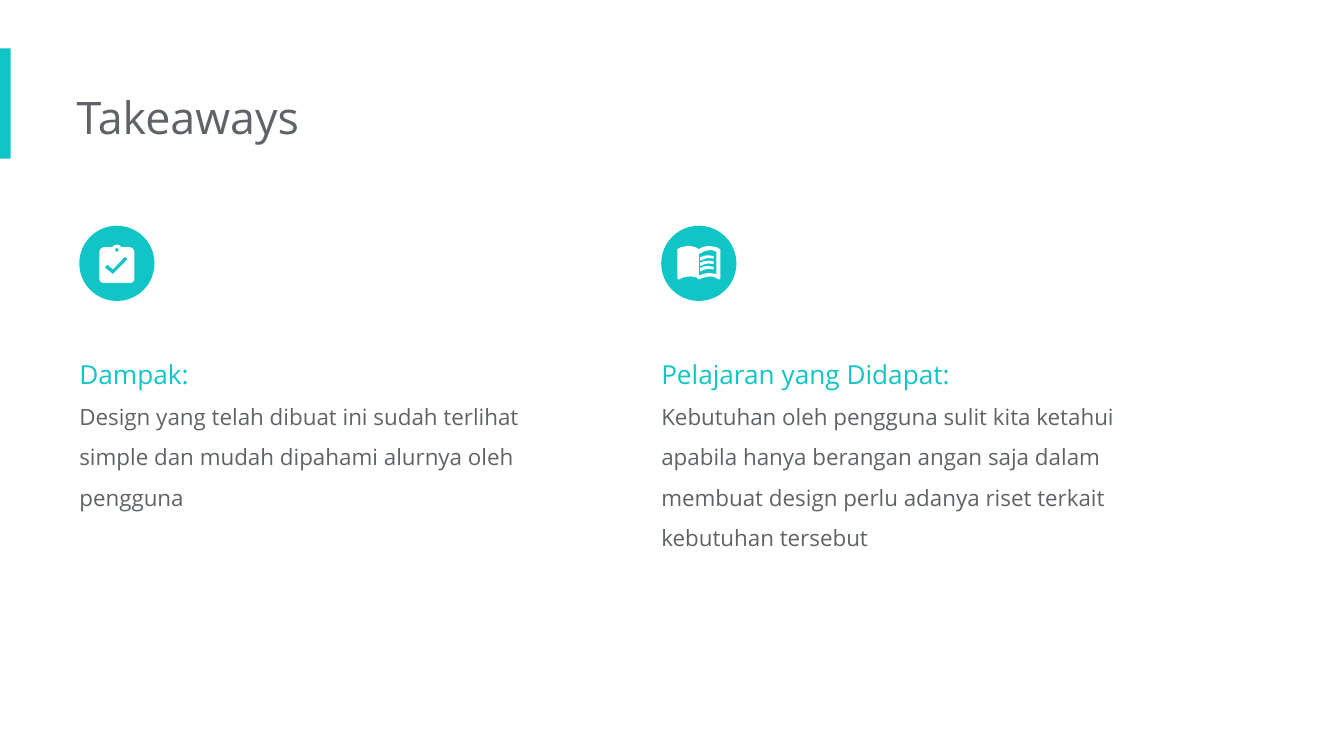
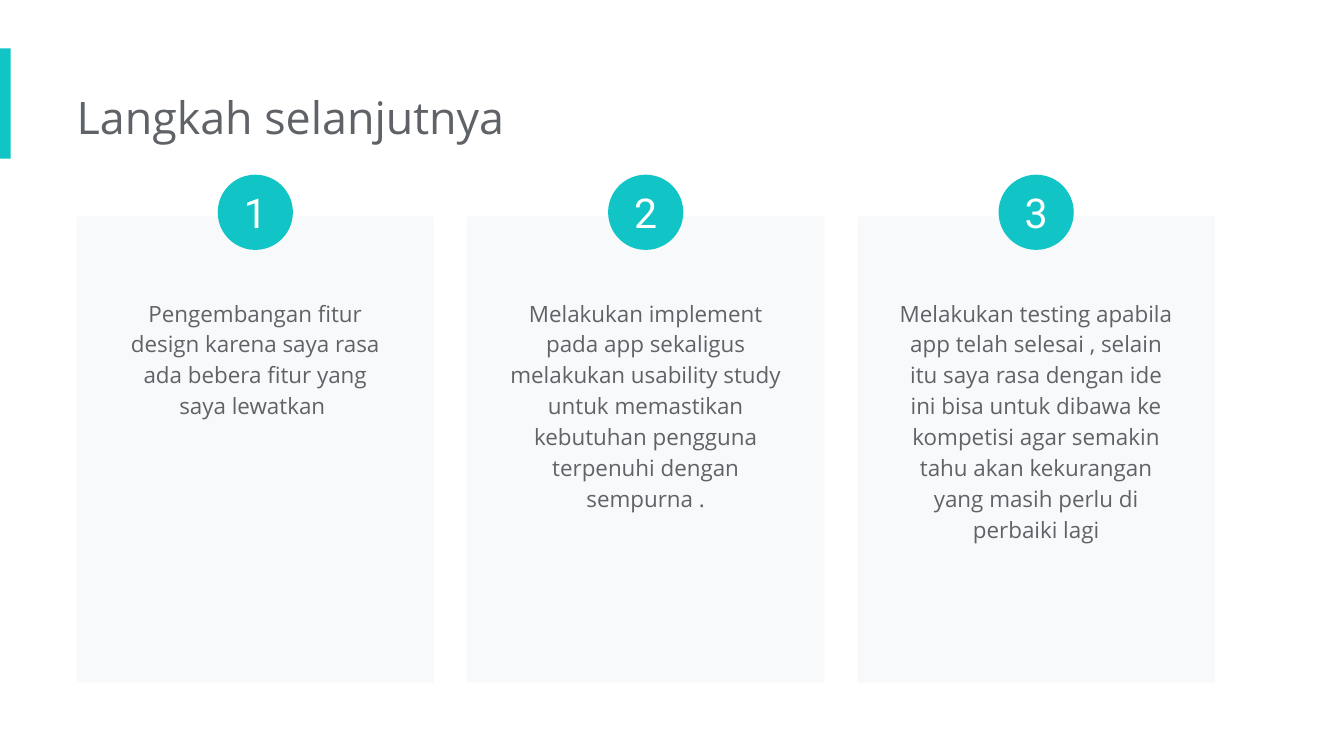
from pptx import Presentation
from pptx.dml.color import RGBColor
from pptx.enum import shapes, text
from pptx.oxml import xmlchemy
from pptx.util import Inches, Pt

TEAL, GREY, PALE, WHITE = "11C5C6", "5F6368", "F8F9FA", "FFFFFF"
BODY_FONT, NUMBER_FONT = "Open Sans", "Roboto"
CIRCLE = 0.56


def paint(shape, color):
    shape.fill.solid()
    shape.fill.fore_color.rgb = RGBColor.from_string(color)
    shape.line.fill.background()
    shape.shadow.inherit = False


def style(paragraph, size, color, font=BODY_FONT, align=text.PP_ALIGN.LEFT, spacing=1.0):
    paragraph.alignment = align
    paragraph.line_spacing = spacing
    paragraph.space_before = Pt(0)
    for run in paragraph.runs:
        run.font.size = Pt(size)
        run.font.name = font
        run.font.color.rgb = RGBColor.from_string(color)


# Widescreen page, 16:9
presentation = Presentation()
presentation.slide_width = Inches(10)
presentation.slide_height = Inches(10 * 9 / 16)

# Slides with their titles: two-content layout, then title-only layout
slides = []
for layout_index, title_text in [(3, "Takeaways"), (5, "Langkah selanjutnya")]:
    slide = presentation.slides.add_slide(presentation.slide_layouts[layout_index])
    title = slide.shapes.title
    title.left, title.top, title.width, title.height = map(Inches, (0.57, 0.57, 5.39, 0.61))
    frame = title.text_frame
    frame.text = title_text
    frame.margin_left = 0
    frame.margin_right = frame.margin_top = frame.margin_bottom = Inches(0.1)
    frame.vertical_anchor = text.MSO_ANCHOR.TOP
    frame.auto_size = text.MSO_AUTO_SIZE.NONE
    style(frame.paragraphs[0], 24, GREY)
    slides.append(slide)
takeaways, next_steps = slides

# Accent bar, moved to the slide master so that every slide shows it
bar = takeaways.shapes.add_shape(
    shapes.MSO_SHAPE.RECTANGLE, 0, Inches(0.36), Inches(0.08), Inches(0.82))
paint(bar, TEAL)
bar.element.nvSpPr.cNvPr.id = 20
presentation.slide_master.shapes.element.insert(2, bar.element)

# Takeaways: two columns, each with a round icon above a heading and a text
columns = [
    (1, 0.59, 1.46, "Dampak:",
     "Design yang telah dibuat ini sudah terlihat simple dan mudah dipahami "
     "alurnya oleh pengguna"),
    (2, 4.92, 1.77, "Pelajaran yang Didapat:",
     "Kebutuhan oleh pengguna sulit kita ketahui apabila hanya berangan angan saja "
     "dalam membuat design perlu adanya riset terkait kebutuhan tersebut"),
]
for placeholder_index, left, height, heading, description in columns:
    body = takeaways.placeholders[placeholder_index]
    body.left, body.top, body.width, body.height = map(Inches, (left, 2.45, 3.77, height))
    frame = body.text_frame
    frame.text = f"{heading}\n{description}"
    frame.margin_left = 0
    frame.margin_right = frame.margin_top = frame.margin_bottom = Inches(0.1)
    frame.vertical_anchor = text.MSO_ANCHOR.TOP
    frame.auto_size = text.MSO_AUTO_SIZE.NONE
    for paragraph, size, color in zip(frame.paragraphs, (14, 12), (TEAL, GREY)):
        properties = paragraph._p.get_or_add_pPr()
        properties.set("marL", "0")
        properties.set("indent", "0")
        properties.append(xmlchemy.OxmlElement("a:buNone"))
        style(paragraph, size, color, spacing=1.5)
    circle = takeaways.shapes.add_shape(
        shapes.MSO_SHAPE.OVAL, Inches(left), Inches(1.68), Inches(CIRCLE), Inches(CIRCLE))
    paint(circle, TEAL)

# Icon outlines, in hundredths of an inch from the icon's top left corner
clipboard = [
    [(3, 2), (9.5, 2), (11, 0.5), (13, 0), (15, 0.5), (16.5, 2), (23, 2), (25, 3), (26, 5),
     (26, 26), (25, 28), (23, 28.6), (3, 28.6), (1, 28), (0, 26), (0, 5), (1, 3)],
    [(13, 2.6), (14, 3), (14.4, 4), (14, 5), (13, 5.4), (12, 5), (11.6, 4), (12, 3)],
    [(10, 22), (4, 17), (6, 15), (10, 18.5), (19, 9), (21, 11)],
]
book = [
    [(8, 0), (5, 0.5), (2, 1.2), (0, 2.5), (0, 24), (1, 25), (3, 24), (6, 23), (10, 22.7),
     (14, 23.3), (16, 25), (18, 24), (22, 23), (25, 22.7), (28, 23.5), (31, 25), (32, 24),
     (32, 2.5), (29, 1), (24, 0), (20, 0.5), (17, 1.7), (16, 2.5), (14, 1.2), (11, 0.3)],
    [(24, 3), (20, 4), (16, 6), (16, 22), (20, 20.7), (24, 20), (29, 21), (29, 4.3), (27, 3.5)],
]
text_line = [(0, 1.5), (3, 0.3), (6, 0), (10, 0.5), (10, 2.5), (6, 2), (3, 2.7), (0, 4)]
icons = [(0.74, 1.82, clipboard), (5.04, 1.83, book)]
icons += [(5.21, 1.9 + 0.04 * row, [text_line]) for row in range(3)]
for left, top, contours in icons:
    builder = None
    for contour in contours:
        points = [(Inches(left + x / 100), Inches(top + y / 100)) for x, y in contour]
        if builder is None:
            builder = takeaways.shapes.build_freeform(*points[0])
        else:
            builder.move_to(*points[0])
        builder.add_line_segments(points[1:], close=True)
    paint(builder.convert_to_shape(), WHITE)

# Next steps: three cards, each with a numbered circle on its top edge
steps = [
    "Pengembangan fitur design karena saya rasa ada bebera fitur yang saya lewatkan ",
    "Melakukan implement pada app sekaligus melakukan usability study untuk memastikan "
    "kebutuhan pengguna terpenuhi dengan sempurna .",
    "Melakukan testing apabila app telah selesai , selain itu saya rasa dengan ide ini bisa "
    "untuk dibawa ke kompetisi agar semakin tahu akan kekurangan yang masih perlu di "
    "perbaiki lagi",
]
card_width, text_width = 2.66, 2.24
card_pitch = (6.38 - 0.57) / 2
for index, step in enumerate(steps):
    left = 0.57 + index * card_pitch
    card = next_steps.shapes.add_shape(
        shapes.MSO_SHAPE.RECTANGLE, Inches(left), Inches(1.61), Inches(card_width), Inches(3.47))
    paint(card, PALE)

    box = next_steps.shapes.add_textbox(
        Inches(left + (card_width - text_width) / 2), Inches(2.1),
        Inches(text_width), Inches(2.06 if index else 1.13))
    frame = box.text_frame
    frame.word_wrap = True
    frame.margin_left = frame.margin_right = Inches(0.1)
    frame.margin_top = frame.margin_bottom = Inches(0.1)
    frame.text = step
    style(frame.paragraphs[0], 12, GREY, align=text.PP_ALIGN.CENTER, spacing=1.15)

    circle = next_steps.shapes.add_shape(
        shapes.MSO_SHAPE.OVAL, Inches(left + (card_width - CIRCLE) / 2), Inches(1.3),
        Inches(CIRCLE), Inches(CIRCLE))
    paint(circle, TEAL)
    frame = circle.text_frame
    frame.margin_left = frame.margin_right = frame.margin_top = frame.margin_bottom = 0
    frame.vertical_anchor = text.MSO_ANCHOR.MIDDLE
    frame.text = str(index + 1)
    style(frame.paragraphs[0], 22, WHITE, NUMBER_FONT, text.PP_ALIGN.CENTER)

presentation.save("out.pptx")
